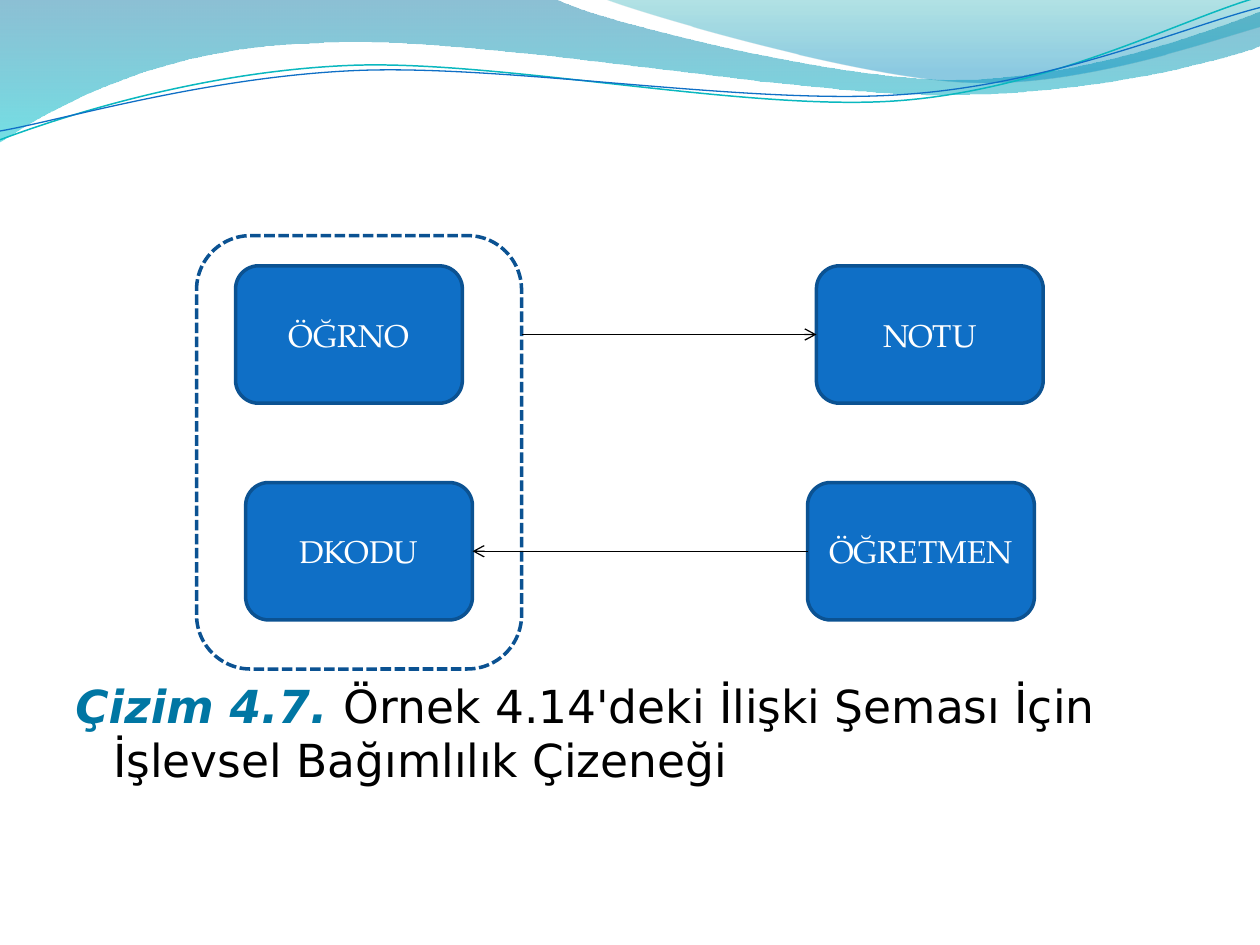
from pptx import Presentation
from pptx.dml.color import RGBColor
from pptx.enum.dml import MSO_LINE
from pptx.enum.shapes import MSO_CONNECTOR as Conn, MSO_SHAPE as Kind
from pptx.enum.text import MSO_ANCHOR as Anchor, PP_ALIGN as Align
from pptx.util import Inches, Pt
from lxml.etree import SubElement
from pptx.oxml.ns import qn

BLUE = RGBColor(0x0F, 0x6F, 0xC6)
NAVY = RGBColor(0x0B, 0x52, 0x92)
TEAL = RGBColor(0x0A, 0xB8, 0xBF)
SEA = RGBColor(0x00, 0x74, 0xA1)
AQUA = RGBColor(0x00, 0xC6, 0xCF)
MINT = RGBColor(0x00, 0xA1, 0xA9)
SKY = RGBColor(0x00, 0x8B, 0xBF)
TITLE = RGBColor(0x00, 0x76, 0xA3)
BLACK = RGBColor(0, 0, 0)
WHITE = RGBColor(255, 255, 255)

NODE_W, NODE_H = 1.8, 1.09
NODE_FONT = {"name": "TeX Gyre Pagella", "size": Pt(18)}
HEAD_FONT = {"name": "DejaVu Sans", "size": Pt(26), "bold": True, "italic": True}
BODY_FONT = {**HEAD_FONT, "bold": False, "italic": False}

# Each path is a start point, then line ends (x, y) or cubic curves (six values).
BANDS = [
    ([(0, 0), (4.4, -0.01), (4.76, 0.17, 6.64, 0.63, 7.58, 0.63),
      (8.53, 0.63, 9.58, 0.26, 10, 0.09), (10.01, 0.36),
      (9.83, 0.44, 8.7, 0.76, 7.46, 0.75), (6.22, 0.75, 3.82, 0.28, 2.57, 0.34),
      (1.29, 0.36, 0.46, 0.83, -0.01, 1.13)],
     [(0, SEA, 45), (1, AQUA, 55)]),
    ([(4.79, -0.01), (5.09, 0.11, 6.82, 0.62, 7.69, 0.65),
      (8.56, 0.69, 9.61, 0.32, 10, 0.21), (10, 0)],
     [(0, MINT, 30), (0.8, SKY, 45)]),
]
CURVES = [
    ([(0, 1.11), (0.48, 0.93, 1.58, 0.57, 2.77, 0.52),
      (3.95, 0.47, 5.93, 0.89, 7.13, 0.8), (8.33, 0.71, 9.38, 0.15, 9.98, -0.02)],
     TEAL, 0.85),
    ([(0, 1.04), (0.47, 0.96, 1.64, 0.61, 2.83, 0.56),
      (4.03, 0.51, 5.97, 0.84, 7.17, 0.75), (8.36, 0.67, 9.41, 0.21, 10, 0.06)],
     BLUE, 0.75),
]


def style(font, form, color):
    for key, value in form.items():
        setattr(font, key, value)
    font.color.rgb = color


def stroke(line, color, width):
    line.color.rgb = color
    line.width = Pt(width)


def bend(shape, path):
    """Join the three line steps of each six-value part into one cubic curve."""
    steps = iter(list(shape._element.spPr.iter(qn("a:lnTo"))))
    for part in path[1:]:
        first = next(steps)
        if len(part) == 6:
            first.tag = qn("a:cubicBezTo")
            for _ in range(2):
                extra = next(steps)
                first.append(extra[0])
                extra.getparent().remove(extra)


def outline(slide, left, top, path, close):
    spots = [(Inches(left + part[i]), Inches(top + part[i + 1]))
             for part in path for i in range(0, len(part), 2)]
    form = slide.shapes.build_freeform(*spots[0])
    form.add_line_segments(spots[1:], close=close)
    shape = form.convert_to_shape()
    bend(shape, path)
    shape.shadow.inherit = False
    return shape


def shade(shape, stops):
    """Fill from top to bottom with (position, colour, opacity) stops."""
    shape.fill.gradient()
    shape.fill.gradient_angle = 270
    for stop, (place, color, _) in zip(shape.fill.gradient_stops, stops):
        stop.position = place
        stop.color.rgb = color
    tones = shape._element.spPr.iter(qn("a:srgbClr"))
    for tone, (_, _, alpha) in zip(tones, stops):
        SubElement(tone, qn("a:alpha"), val=str(alpha * 1000))


def add_waves(slide, left, top):
    for path, stops in BANDS:
        band = outline(slide, left, top, path, True)
        shade(band, stops)
        band.line.fill.background()
    for path, color, width in CURVES:
        curve = outline(slide, left, top, path, False)
        curve.fill.background()
        stroke(curve.line, color, width)


def add_round(slide, left, top, width, height):
    shape = slide.shapes.add_shape(Kind.ROUNDED_RECTANGLE, Inches(left), Inches(top),
                                   Inches(width), Inches(height))
    shape.shadow.inherit = False
    stroke(shape.line, NAVY, 2)
    return shape


def add_node(slide, left, top, label):
    node = add_round(slide, left, top, NODE_W, NODE_H)
    node.fill.solid()
    node.fill.fore_color.rgb = BLUE
    frame = node.text_frame
    frame.word_wrap = True
    frame.vertical_anchor = Anchor.MIDDLE
    para = frame.paragraphs[0]
    para.alignment = Align.CENTER
    run = para.add_run()
    run.text = label
    style(run.font, NODE_FONT, WHITE)
    return node


def add_arrow(slide, start, target, side, source=None):
    """Draw from a point, or from the left side of source, to a side of target."""
    x, y = start
    arrow = slide.shapes.add_connector(Conn.STRAIGHT, x, y, x, y)
    if source is not None:
        arrow.begin_connect(source, 1)
    arrow.end_connect(target, side)
    stroke(arrow.line, BLACK, 0.75)
    SubElement(arrow.line._get_or_add_ln(), qn("a:tailEnd"), type="arrow")
    SubElement(arrow._element.spPr, qn("a:effectLst"))


def add_diagram(slide, left, top):
    low = top + 1.96
    add_node(slide, left + 0.31, top + 0.24, "ÖĞRNO")
    course = add_node(slide, left + 0.39, low, "DKODU")
    key = add_round(slide, left, top, 2.58, 3.44)
    key.fill.background()
    key.line.dash_style = MSO_LINE.SQUARE_DOT
    teacher = add_node(slide, left + 4.85, low, "ÖĞRETMEN")
    grade = add_node(slide, left + 4.92, top + 0.24, "NOTU")
    add_arrow(slide, (key.left + key.width, grade.top + grade.height // 2), grade, 1)
    add_arrow(slide, (teacher.left, teacher.top + teacher.height // 2),
              course, 3, teacher)


def add_caption(slide, left, top, width, height):
    """Place the caption low in its box, below the room for the diagram."""
    box = slide.shapes.add_textbox(Inches(left), Inches(top), Inches(width), Inches(height))
    frame = box.text_frame
    frame.word_wrap = True
    frame.margin_top = Inches(4.6)
    para = frame.paragraphs[0]
    props = para._p.get_or_add_pPr()
    props.set("marL", str(Inches(0.3)))
    props.set("indent", str(Inches(-0.3)))
    for text, form, color in (
        ("Çizim 4.7. ", HEAD_FONT, TITLE),
        ("Örnek 4.14'deki İlişki Şeması İçin İşlevsel Bağımlılık Çizeneği",
         BODY_FONT, BLACK),
    ):
        run = para.add_run()
        run.text = text
        style(run.font, form, color)


def main():
    deck = Presentation()
    deck.slide_width, deck.slide_height = Inches(10), Inches(7.5)
    slide = deck.slides.add_slide(deck.slide_layouts[6])
    add_waves(slide, 0, 0)
    add_caption(slide, 0.5, 0.78, 9, 6.14)
    add_diagram(slide, 1.56, 1.87)
    deck.save("out.pptx")


if __name__ == "__main__":
    main()
